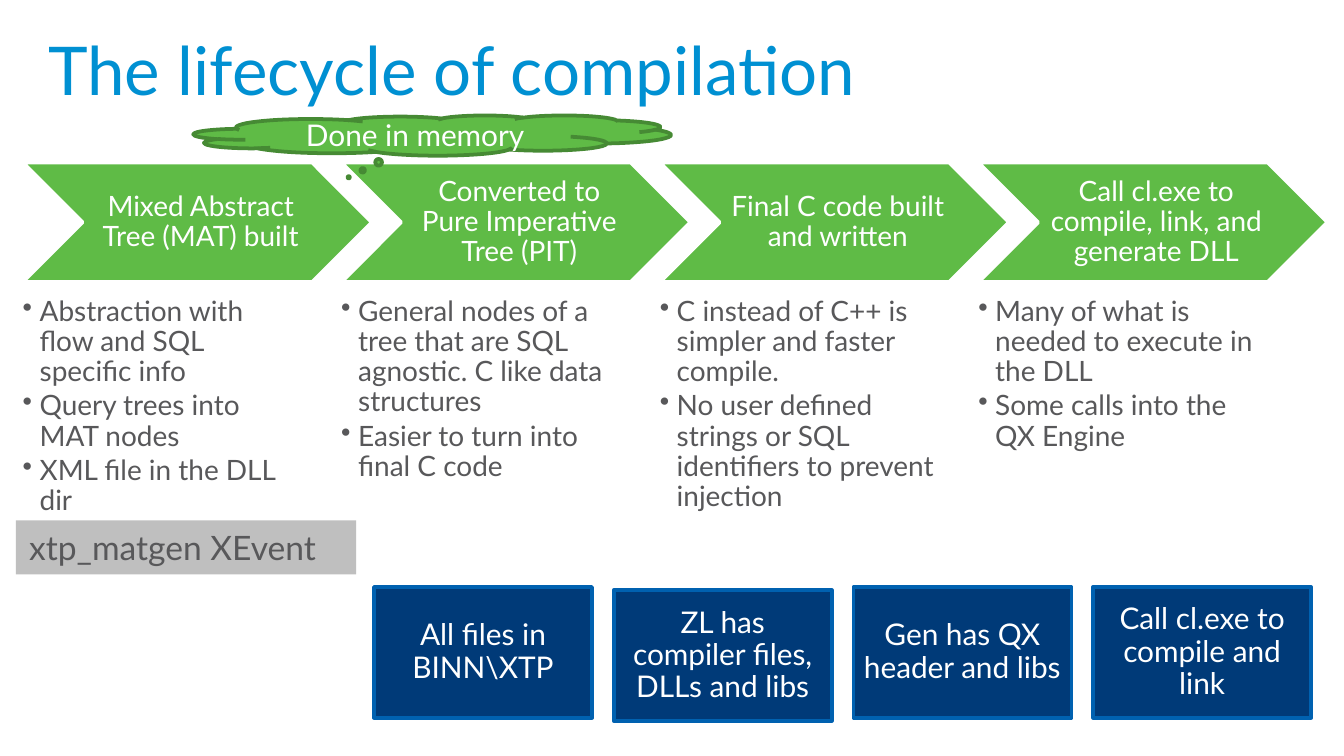
from lxml.etree import SubElement
from pptx import Presentation
from pptx.dml.color import RGBColor
from pptx.enum.shapes import MSO_SHAPE
from pptx.enum.text import MSO_ANCHOR, PP_ALIGN
from pptx.oxml.ns import qn
from pptx.util import Cm, Pt

FONT = "Lato"
WHITE = RGBColor(0xFF, 0xFF, 0xFF)
SKY = RGBColor(0x00, 0x90, 0xD2)
GREEN = RGBColor(0x5F, 0xBB, 0x46)
DARK_GREEN = RGBColor(0x46, 0x8A, 0x34)
NAVY = RGBColor(0x00, 0x3A, 0x78)
BLUE = RGBColor(0x00, 0x61, 0xB0)
SILVER = RGBColor(0xBF, 0xBF, 0xBF)
GREY = RGBColor(0x58, 0x58, 0x5A)

TITLE = "The lifecycle of compilation"
STAGES = [
    ("Mixed Abstract Tree (MAT) built",
     ["Abstraction with flow and SQL specific info",
      "Query trees into MAT nodes",
      "XML file in the DLL dir"]),
    ("Converted to Pure Imperative Tree (PIT)",
     ["General nodes of a tree that are SQL agnostic. C like data structures",
      "Easier to turn into final C code"]),
    ("Final C code built and written",
     ["C instead of C++ is simpler and faster compile.",
      "No user defined strings or SQL identifiers to prevent injection"]),
    ("Call cl.exe to compile, link, and generate DLL",
     ["Many of what is needed to execute in the DLL",
      "Some calls into the QX Engine"]),
]
BUILD_FACTS = [
    ("All files in BINN\\XTP", 11.09),
    ("ZL has compiler files, DLLs and libs", 11.15),
    ("Gen has QX header and libs", 11.09),
    ("Call cl.exe to compile and link", 11.09),
]
CLOUD_TEXT = "Done in memory"
EVENT_TEXT = "xtp_matgen XEvent"

STAGE_LEFT, STAGE_PITCH = 0.43, 6.02
FACT_LEFT, FACT_PITCH = 7.07, 4.53


def apply(target, values):
    for name, value in values.items():
        setattr(target, name, value)


def set_insets(tf, left, top, right, bottom):
    apply(tf, {"margin_left": Cm(left), "margin_top": Cm(top),
               "margin_right": Cm(right), "margin_bottom": Cm(bottom)})


def write(p, text, size, color, **layout):
    apply(p, layout)
    r = p.add_run()
    r.text = text
    apply(r.font, {"name": FONT, "size": Pt(size)})
    r.font.color.rgb = color


def add_box(s, kind, box, fill, line, text, size, color=WHITE,
            anchor=MSO_ANCHOR.MIDDLE, insets=None, **layout):
    sp = s.shapes.add_shape(kind, *map(Cm, box))
    sp.shadow.inherit = False
    sp.fill.solid()
    sp.fill.fore_color.rgb = fill
    if line is None:
        sp.line.fill.background()
    else:
        sp.line.color.rgb = line
        sp.line.width = Pt(2)
    tf = sp.text_frame
    apply(tf, {"word_wrap": True, "vertical_anchor": anchor})
    if insets:
        set_insets(tf, *insets)
    write(tf.paragraphs[0], text, size, color, **layout)
    return sp


def add_bullets(s, box, items):
    tf = s.shapes.add_textbox(*map(Cm, box)).text_frame
    tf.word_wrap = True
    set_insets(tf, 0, 0, 0, 0)
    for i, item in enumerate(items):
        p = tf.add_paragraph() if i else tf.paragraphs[0]
        pPr = p._p.get_or_add_pPr()
        pPr.set("marL", str(Cm(0.32)))
        pPr.set("indent", str(-Cm(0.32)))
        SubElement(pPr, qn("a:buChar")).set("char", "•")
        write(p, item, 15, GREY, level=1, line_spacing=0.9, space_after=Pt(2))


def main():
    prs = Presentation()
    apply(prs, {"slide_width": Cm(25.4), "slide_height": Cm(14.28)})
    s = prs.slides.add_slide(prs.slide_layouts[5])

    title = s.shapes.title
    apply(title, {"left": Cm(0.66), "top": Cm(0.69), "width": Cm(24.2), "height": Cm(1.7)})
    apply(title.text_frame, {"word_wrap": True, "vertical_anchor": MSO_ANCHOR.TOP})
    write(title.text_frame.paragraphs[0], TITLE, 36, SKY,
          alignment=PP_ALIGN.LEFT, line_spacing=Pt(35))

    centred = {"alignment": PP_ALIGN.CENTER, "line_spacing": 0.9}
    for i, (stage, items) in enumerate(STAGES):
        left = STAGE_LEFT + i * STAGE_PITCH
        add_box(s, MSO_SHAPE.CHEVRON, (left, 3.07, 6.6, 2.26), GREEN, WHITE,
                stage, 15, insets=(0.18, 0.05, 0.05, 0.05), **centred)
        add_bullets(s, (left, 5.61, 5.28, 4.67), items)

    for i, (fact, top) in enumerate(BUILD_FACTS):
        add_box(s, MSO_SHAPE.RECTANGLE, (FACT_LEFT + i * FACT_PITCH, top, 4.12, 2.47),
                NAVY, BLUE, fact, 16, insets=(0.18,) * 4, **centred)

    cloud = add_box(s, MSO_SHAPE.CLOUD_CALLOUT, (3.66, 2.18, 9.02, 0.76),
                    GREEN, DARK_GREEN, CLOUD_TEXT, 16, alignment=PP_ALIGN.CENTER)
    cloud.adjustments[0] = -0.175
    cloud.adjustments[1] = 1.04
    add_box(s, MSO_SHAPE.RECTANGLE, (0.3, 9.83, 6.43, 1.02), SILVER, None,
            EVENT_TEXT, 18, GREY, MSO_ANCHOR.TOP, alignment=PP_ALIGN.LEFT)

    prs.save("out.pptx")


if __name__ == "__main__":
    main()
